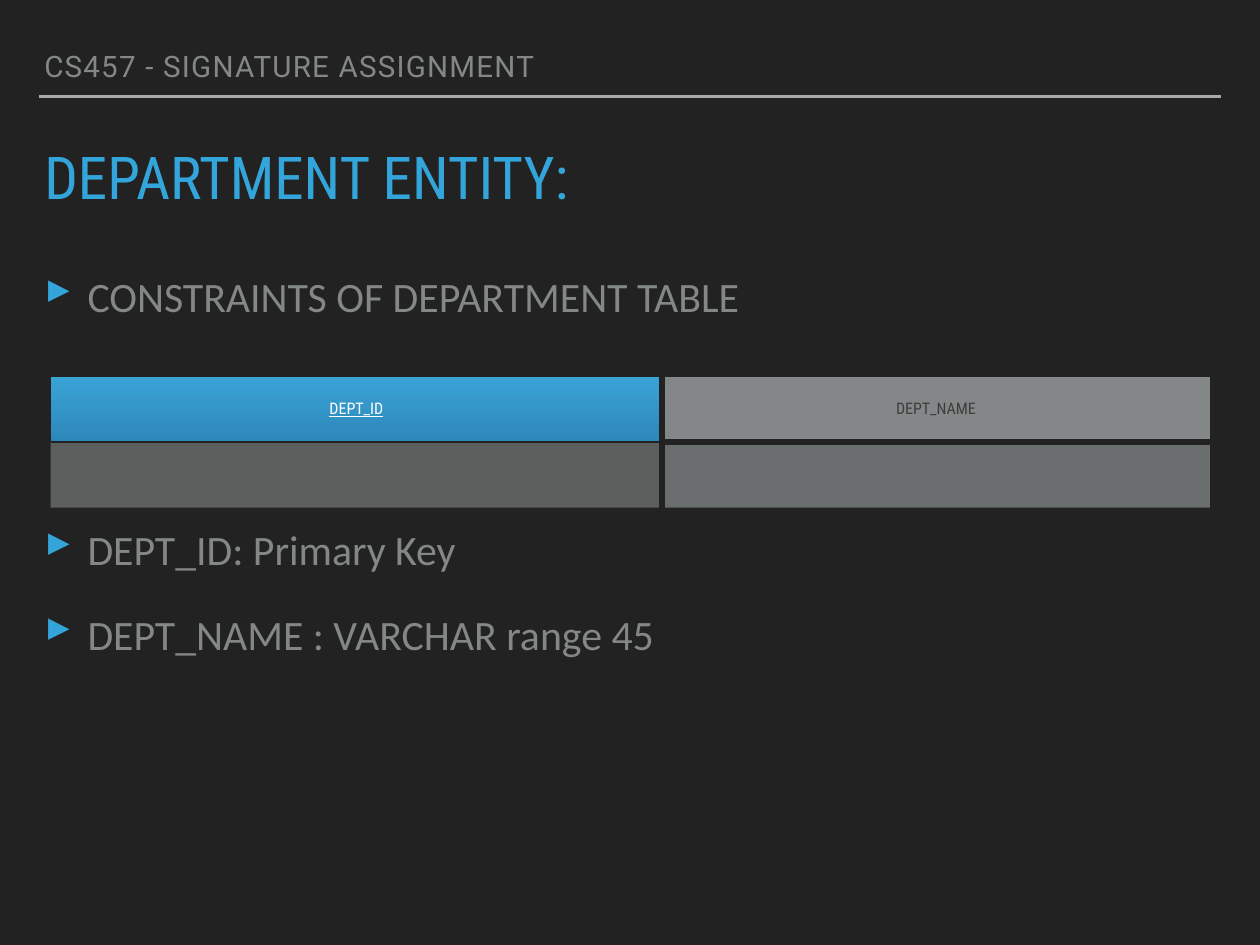
from dataclasses import dataclass

from lxml import etree
from pptx import Presentation, util as u
from pptx.dml.color import RGBColor
from pptx.enum import shapes, text
from pptx.oxml import ns

HUES = {
    "back": "222222", "rule": "A6AAA9", "gray": "838787", "blue": "34A5DA",
    "top": "39A3D5", "base": "2E87BB", "white": "FFFFFF", "dark": "3D3D3D",
    "dim": "686A6A",
}
LEFT = u.Cm(1.12)
PAD = u.Cm(0.15)
DENT = u.Cm(1.24)
NO_STYLE = "{2D5ABB26-0587-4C30-8999-92F81FD0307C}"


@dataclass
class Point:
    words: str
    gap: float


@dataclass
class Field:
    row: int
    col: int
    hues: tuple[str, ...]
    edges: dict[str, float]
    words: str = ""
    ink: str = "white"
    key: bool = False
    alpha: int = 100


POINTS = [
    Point("CONSTRAINTS OF DEPARTMENT TABLE", 28),
    Point("DEPT_ID: Primary Key", 165),
    Point("DEPT_NAME : VARCHAR range 45", 28),
]
FIELDS = [
    Field(0, 0, ("top", "base"), {"R": 5, "B": 2}, "DEPT_ID", key=True),
    Field(0, 1, ("gray",), {"L": 5, "B": 5}, "DEPT_NAME", "dark"),
    Field(1, 0, ("dim",), {"R": 5, "T": 2}, alpha=85),
    Field(1, 1, ("gray",), {"L": 5, "T": 5}, alpha=75),
]


def hue(name: str) -> RGBColor:
    return RGBColor.from_string(HUES[name])


def add(node, tag: str, **attrs: str):
    return etree.SubElement(node, ns.qn(tag), attrs)


def write(para, words: str, face: str, size: float, ink: str):
    run = para.add_run()
    run.text = words
    run.font.name = face
    run.font.size = u.Pt(size)
    run.font.color.rgb = hue(ink)
    return run


def frame(shape, anchor):
    box = shape.text_frame
    box.word_wrap = True
    box.auto_size = text.MSO_AUTO_SIZE.NONE
    box.vertical_anchor = anchor
    box.margin_left = box.margin_right = PAD
    box.margin_top = box.margin_bottom = PAD
    return box


def draw_head(slide) -> None:
    rule = slide.shapes.add_connector(
        shapes.MSO_CONNECTOR.STRAIGHT, LEFT, u.Cm(2.77), u.Cm(35), u.Cm(2.77))
    rule.line.color.rgb = hue("rule")
    rule.line.width = u.Pt(2)
    add(rule._element.spPr, "a:effectLst")

    course = slide.shapes.add_textbox(LEFT, u.Cm(1.27), u.Cm(31.04), u.Cm(1.27))
    para = frame(course, text.MSO_ANCHOR.BOTTOM).paragraphs[0]
    para.line_spacing = 0.8
    run = write(para, "CS457 - SIGNATURE ASSIGNMENT", "Roboto", 24, "gray")
    run.font._element.set("spc", "100")

    title = slide.shapes.title
    title.left, title.top = LEFT, u.Cm(4.27)
    title.width, title.height = u.Cm(33.86), u.Cm(2.01)
    para = frame(title, text.MSO_ANCHOR.TOP).paragraphs[0]
    para.alignment = text.PP_ALIGN.LEFT
    para.line_spacing = 0.8
    write(para, "DEPARTMENT ENTITY:", "Roboto Condensed", 48, "blue")


def draw_points(slide) -> None:
    body = slide.shapes.add_textbox(LEFT, u.Cm(7.62), u.Cm(33.86), u.Cm(16.97))
    box = frame(body, text.MSO_ANCHOR.TOP)
    for num, point in enumerate(POINTS):
        para = box.add_paragraph() if num else box.paragraphs[0]
        para.space_before = u.Pt(point.gap)
        props = para._p.get_or_add_pPr()
        props.set("marL", str(DENT))
        props.set("indent", str(-DENT))
        add(add(props, "a:buClr"), "a:srgbClr", val=HUES["blue"])
        add(props, "a:buSzPct", val="105000")
        add(props, "a:buChar", char="▸")
        write(para, point.words, "Calibri", 34, "gray")


def draw_field(cell, field: Field) -> None:
    props = cell._tc.get_or_add_tcPr()
    for side in "LRTB":
        if side in field.edges:
            width = u.Pt(field.edges[side])
            edge = add(props, f"a:ln{side}", w=str(width))
            add(add(edge, "a:solidFill"), "a:srgbClr", val=HUES["back"])
    if len(field.hues) > 1:
        cell.fill.gradient()
        cell.fill.gradient_angle = 270
        for stop, name, place in zip(cell.fill.gradient_stops, field.hues, (0, 1)):
            stop.color.rgb = hue(name)
            stop.position = place
    else:
        cell.fill.solid()
        cell.fill.fore_color.rgb = hue(field.hues[0])
    if field.alpha < 100:
        tint = props.find(ns.qn("a:solidFill"))[0]
        add(tint, "a:alpha", val=str(field.alpha * 1000))
    cell.vertical_anchor = text.MSO_ANCHOR.MIDDLE
    cell.margin_left = cell.margin_right = PAD
    cell.margin_top = cell.margin_bottom = PAD
    if field.words:
        para = cell.text_frame.paragraphs[0]
        para.alignment = text.PP_ALIGN.CENTER
        run = write(para, field.words, "Roboto Condensed", 13, field.ink)
        run.font.underline = field.key


def draw_table(slide) -> None:
    wides, tall = (u.Cm(17.53), u.Cm(15.7)), u.Cm(1.88)
    grid = slide.shapes.add_table(
        2, 2, u.Cm(1.45), u.Cm(10.8), sum(wides), tall * 2).table
    grid.first_row = grid.horz_banding = False
    grid._tbl.tblPr.find(ns.qn("a:tableStyleId")).text = NO_STYLE
    for col, wide in zip(grid.columns, wides):
        col.width = wide
    for row in grid.rows:
        row.height = tall
    for field in FIELDS:
        draw_field(grid.cell(field.row, field.col), field)


def main() -> None:
    deck = Presentation()
    deck.slide_width, deck.slide_height = u.Cm(36.12), u.Cm(27.1)
    slide = deck.slides.add_slide(deck.slide_layouts[5])
    slide.background.fill.solid()
    slide.background.fill.fore_color.rgb = hue("back")
    draw_head(slide)
    draw_points(slide)
    draw_table(slide)
    deck.save("out.pptx")


if __name__ == "__main__":
    main()
